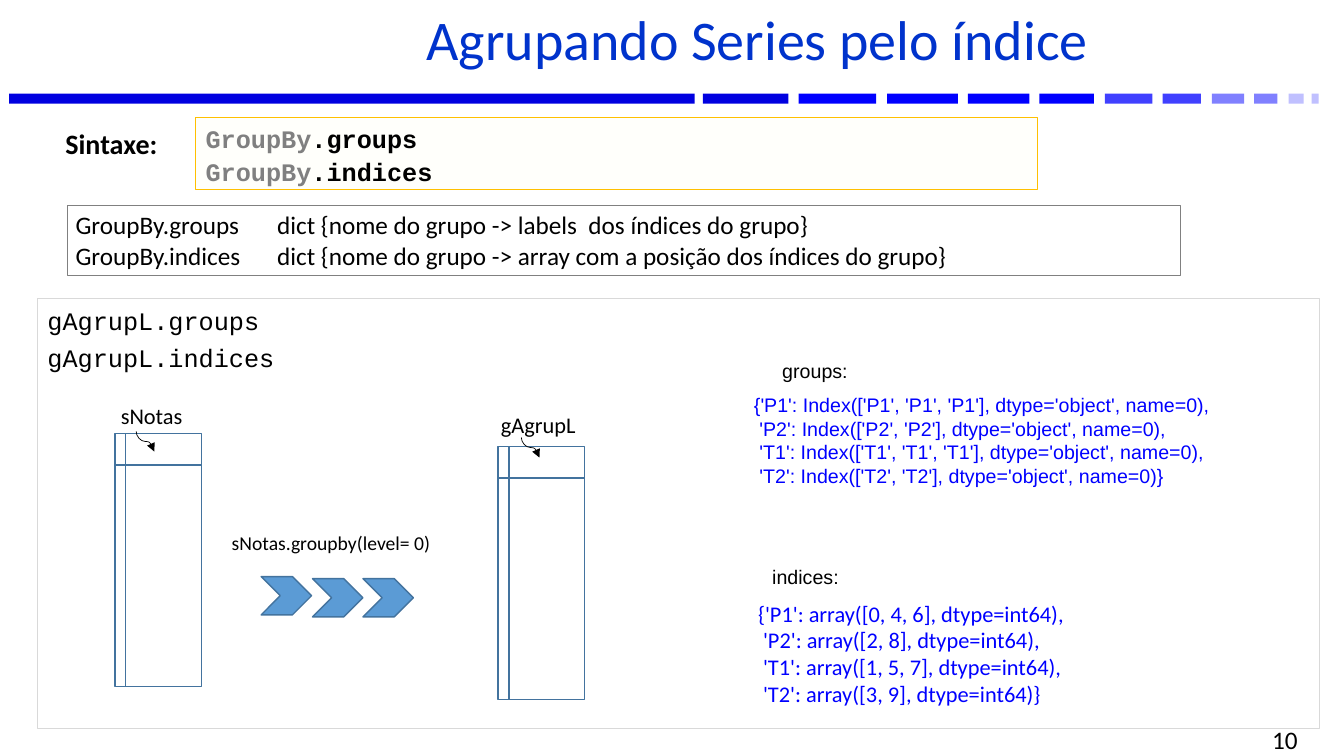
from dataclasses import dataclass

from lxml import etree
from pptx import Presentation
from pptx.dml.color import RGBColor
from pptx.enum.shapes import MSO_CONNECTOR, MSO_SHAPE
from pptx.enum.text import MSO_ANCHOR, PP_ALIGN
from pptx.oxml.ns import qn
from pptx.util import Pt

RECTANGLE = MSO_SHAPE.RECTANGLE
CHEVRON = MSO_SHAPE.CHEVRON
STORAGE = MSO_SHAPE.FLOWCHART_INTERNAL_STORAGE
CURVE = MSO_CONNECTOR.CURVE
TOP, MIDDLE = MSO_ANCHOR.TOP, MSO_ANCHOR.MIDDLE
LEFT, CENTER, RIGHT = PP_ALIGN.LEFT, PP_ALIGN.CENTER, PP_ALIGN.RIGHT
PX = 9144  # 100 px to the inch


@dataclass(frozen=True)
class Theme:
    sans: str = "Calibri"
    plain: str = "Arial"
    mono: str = "Courier New"
    title_size: int = 40
    heading_size: int = 20
    text_size: int = 18
    label_size: int = 16
    small_size: int = 14
    black: str = "000000"
    title: str = "0033CC"
    output: str = "0000FF"
    muted: str = "808080"
    body_line: str = "D9D9D9"
    code_fill: str = "FFFFFB"
    code_line: str = "FFC000"
    diagram_fill: str = "5B9BD5"
    diagram_line: str = "43739E"


THEME = Theme()

# Content
TITLE = "Agrupando Series pelo índice"
BODY = ["gAgrupL.groups", "gAgrupL.indices"]
SYNTAX = [("GroupBy", ".groups"), ("GroupBy", ".indices")]
DEFINITIONS = [
    "GroupBy.groups\tdict {nome do grupo -> labels  dos índices do grupo}",
    "GroupBy.indices\tdict {nome do grupo -> array com a posição dos índices do grupo}",
]
GROUPS_OUTPUT = [
    "{'P1': Index(['P1', 'P1', 'P1'], dtype='object', name=0),",
    " 'P2': Index(['P2', 'P2'], dtype='object', name=0),",
    " 'T1': Index(['T1', 'T1', 'T1'], dtype='object', name=0),",
    " 'T2': Index(['T2', 'T2'], dtype='object', name=0)}",
]
INDICES_OUTPUT = [
    "{'P1': array([0, 4, 6], dtype=int64),",
    " 'P2': array([2, 8], dtype=int64),",
    " 'T1': array([1, 5, 7], dtype=int64),",
    " 'T2': array([3, 9], dtype=int64)}",
]
# left, width, colour
BARS = [
    (9, 680, "0000E0"), (697, 85, "0000E0"), (792, 77, "0000FF"),
    (880, 70, "0000FF"), (960, 61, "0000FF"), (1031, 54, "0000FF"),
    (1096, 47, "4040FF"), (1153, 38, "4040FF"), (1202, 32, "8080FF"),
    (1244, 23, "8080FF"), (1278, 15, "C0C0FF"), (1301, 7, "C0C0FF"),
]
# text, box (left, top, width, height), font, size, colour, bold, alignment, anchor
TEXTS = [
    (["Sintaxe:"], (55, 121, 142, 44), THEME.sans, THEME.heading_size,
     THEME.black, True, LEFT, TOP),
    (["sNotas.groupby(level= 0)"], (220, 522, 235, 34), THEME.sans,
     THEME.small_size, THEME.black, False, LEFT, TOP),
    (["groups:"], (766, 351, 158, 34), THEME.plain, THEME.small_size,
     THEME.black, False, LEFT, TOP),
    (GROUPS_OUTPUT, (738, 385, 500, 104), THEME.plain, THEME.small_size,
     THEME.output, False, LEFT, TOP),
    (["indices:"], (756, 556, 158, 34), THEME.plain, THEME.small_size,
     THEME.black, False, LEFT, TOP),
    (INDICES_OUTPUT, (742, 590, 500, 118), THEME.sans, THEME.label_size,
     THEME.output, False, LEFT, TOP),
    (["10"], (986, 723, 311, 22), THEME.sans, THEME.text_size,
     THEME.black, False, RIGHT, MIDDLE),
]
# name, label box, storage left and top, arrow left and top
SERIES = [
    ("sNotas", (110, 394, 87, 37), (114, 430), (134, 429)),
    ("gAgrupL", (487, 403, 101, 37), (494, 443), (516, 435)),
]
CHEVRONS = [(259, 572), (310, 574), (360, 574)]


def emu(*lengths):
    return [length * PX for length in lengths]


def rgb(colour):
    return RGBColor.from_string(colour)


def place(shape, box):
    shape.left, shape.top, shape.width, shape.height = emu(*box)


def format_runs(text_frame, font, size, colour, bold=False):
    for paragraph in text_frame.paragraphs:
        for run in paragraph.runs:
            run.font.name, run.font.size, run.font.bold = font, Pt(size), bold
            run.font.color.rgb = rgb(colour)


def write(text_frame, lines, font, size, colour, bold=False, align=LEFT, anchor=TOP):
    text_frame.word_wrap = True
    text_frame.vertical_anchor = anchor
    text_frame.text = "\n".join(lines)
    for paragraph in text_frame.paragraphs:
        paragraph.alignment = align
    format_runs(text_frame, font, size, colour, bold)


def set_margins(text_frame, horizontal, vertical):
    text_frame.margin_left = text_frame.margin_right = horizontal * PX
    text_frame.margin_top = text_frame.margin_bottom = vertical * PX


def add_box(slide, kind, box, fill=None, line=None, weight=0.75):
    shape = slide.shapes.add_shape(kind, *emu(*box))
    shape.shadow.inherit = False
    if fill:
        shape.fill.solid()
        shape.fill.fore_color.rgb = rgb(fill)
    else:
        shape.fill.background()
    if line:
        shape.line.color.rgb = rgb(line)
        shape.line.width = Pt(weight)
    else:
        shape.line.fill.background()
    return shape


def add_text(slide, box, *style):
    write(slide.shapes.add_textbox(*emu(*box)).text_frame, *style)


def add_curved_arrow(slide, left, top):
    arrow = slide.shapes.add_connector(CURVE, *emu(left, top, left + 20, top + 18))
    arrow.line.color.rgb = rgb(THEME.black)
    arrow.line.width = Pt(0.5)
    properties = arrow._element.spPr
    transform = properties.find(qn("a:xfrm"))
    transform.set("rot", str(270 * 60000))
    transform.set("flipH", "1")
    etree.SubElement(properties.find(qn("a:ln")), qn("a:tailEnd"), type="triangle")
    etree.SubElement(properties, qn("a:effectLst"))


def fill_placeholders(slide):
    title, body = slide.shapes.title, slide.placeholders[1]
    place(title, (194, 6, 1114, 77))
    write(title.text_frame, [TITLE], THEME.sans, THEME.title_size, THEME.title,
          align=CENTER, anchor=MIDDLE)
    title.text_frame.paragraphs[0].line_spacing = 0.8

    place(body, (37, 296, 1272, 427))
    body.line.color.rgb = rgb(THEME.body_line)
    body.line.width = Pt(0.75)
    write(body.text_frame, BODY, THEME.mono, THEME.text_size, THEME.black)
    for index, paragraph in enumerate(body.text_frame.paragraphs):
        properties = paragraph._p.get_or_add_pPr()
        properties.set("marL", str(50 * PX))
        properties.set("indent", str(-50 * PX))
        etree.SubElement(properties, qn("a:buNone"))
        paragraph.space_before = Pt(3 if index else 0)
        paragraph.line_spacing = 1.08


def add_syntax(slide):
    frame = add_box(slide, RECTANGLE, (194, 117, 835, 71),
                    THEME.code_fill, THEME.code_line).text_frame
    set_margins(frame, 10, 0)
    write(frame, [owner for owner, _ in SYNTAX], THEME.mono, THEME.text_size,
          THEME.muted, bold=True, anchor=MIDDLE)
    for paragraph, (_, member) in zip(frame.paragraphs, SYNTAX):
        paragraph.line_spacing = 1.08
        run = paragraph.add_run()
        run.text = member
        run.font.name, run.font.size, run.font.bold = THEME.mono, Pt(THEME.text_size), True
        run.font.color.rgb = rgb(THEME.black)


def main():
    presentation = Presentation()
    presentation.slide_width, presentation.slide_height = emu(1333, 750)
    slide = presentation.slides.add_slide(presentation.slide_layouts[1])

    # Header and code
    for left, width, colour in BARS:
        add_box(slide, RECTANGLE, (left, 93, width, 10), colour)
    fill_placeholders(slide)
    add_syntax(slide)
    definitions = add_box(slide, RECTANGLE, (67, 204, 1104, 69), line=THEME.muted)
    set_margins(definitions.text_frame, 8, 4)
    write(definitions.text_frame, DEFINITIONS, THEME.sans, THEME.text_size, THEME.black)

    # Grouping diagram
    for left, top in CHEVRONS:
        add_box(slide, CHEVRON, (left, top, 50, 38),
                THEME.diagram_fill, THEME.diagram_line, 1)
    for name, label_box, (left, top), arrow in SERIES:
        add_box(slide, STORAGE, (left, top, 86, 251), line=THEME.diagram_line, weight=1)
        add_text(slide, label_box, [name], THEME.sans, THEME.label_size, THEME.black)
        add_curved_arrow(slide, *arrow)

    # Labels, outputs and page number
    for lines, box, *style in TEXTS:
        add_text(slide, box, lines, *style)

    presentation.save("out.pptx")


if __name__ == "__main__":
    main()
